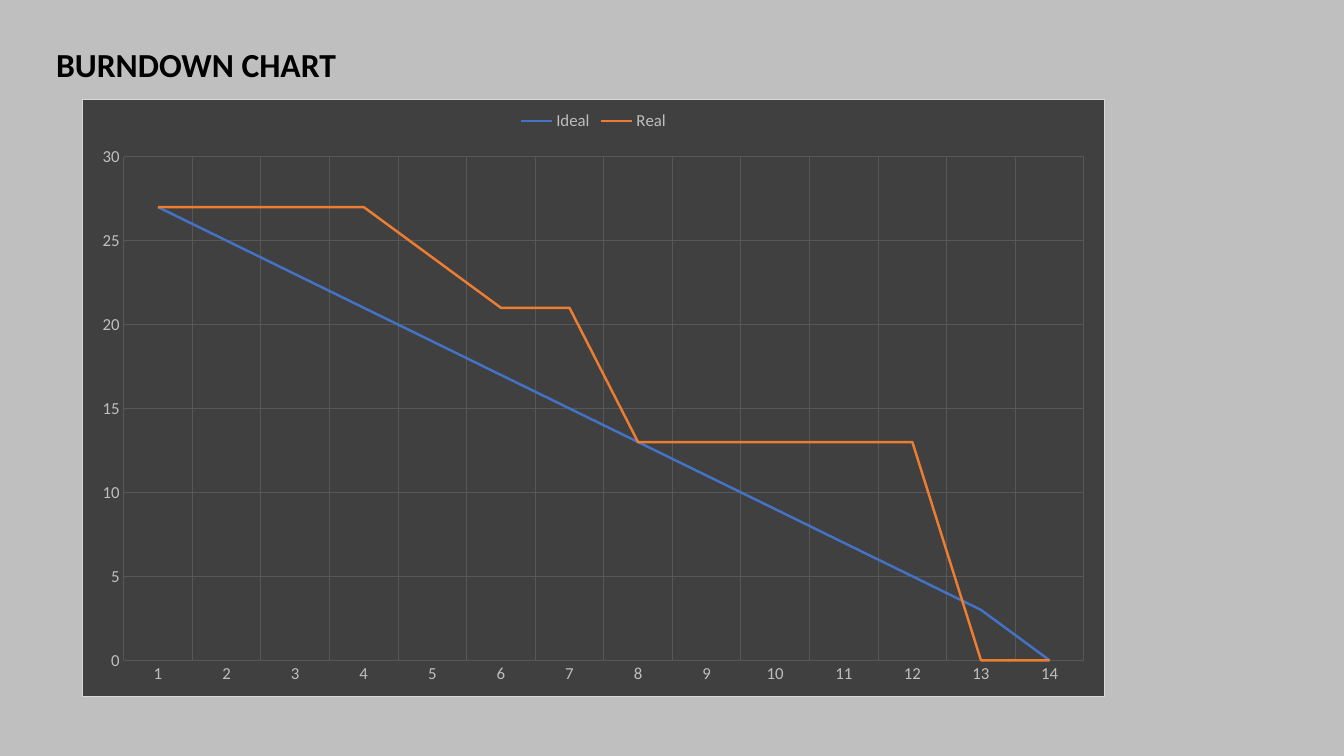
from lxml import etree
from pptx import Presentation
from pptx.chart.data import CategoryChartData
from pptx.dml.color import RGBColor
from pptx.enum.chart import XL_CHART_TYPE, XL_LEGEND_POSITION, XL_MARKER_STYLE, XL_TICK_MARK
from pptx.oxml import parse_xml
from pptx.oxml.ns import qn
from pptx.util import Pt

LINE_CHART = XL_CHART_TYPE.LINE
LEGEND_TOP = XL_LEGEND_POSITION.TOP
NO_MARKER = XL_MARKER_STYLE.NONE
NO_TICK = XL_TICK_MARK.NONE

FONT = "Calibri"
LABEL_COLOR = "BFBFBF"
GRID_COLOR = "575757"
DAYS = [str(day) for day in range(1, 15)]
SERIES = {
    "Ideal": ("4472C4", [*range(27, 2, -2), 0]),
    "Real": ("ED7D31", [27] * 4 + [24, 21, 21] + [13] * 5 + [0, 0]),
}


def color(value):
    return RGBColor.from_string(value)


def style_font(font, size, value, bold=False):
    font.name = FONT
    font.size = Pt(size)
    font.bold = bold
    font.color.rgb = color(value)


def style_line(line, value, width):
    line.color.rgb = color(value)
    line.width = Pt(width)


def add_text(page, text, left, top, width, height, size, value, bold=False):
    box = page.shapes.add_textbox(Pt(left), Pt(top), Pt(width), Pt(height))
    box.text_frame.word_wrap = True
    span = box.text_frame.paragraphs[0].add_run()
    span.text = text
    style_font(span.font, size, value, bold)


def style_axis(axis):
    axis.major_tick_mark = NO_TICK
    axis.minor_tick_mark = NO_TICK
    axis.format.line.fill.background()
    axis.has_major_gridlines = True
    style_line(axis.major_gridlines.format.line, GRID_COLOR, 0.75)
    style_font(axis.tick_labels.font, 12, LABEL_COLOR)


def style_chart_area(chart, fill, border, width):
    space = chart.element
    area = parse_xml(
        '<c:spPr xmlns:c="http://schemas.openxmlformats.org/drawingml/2006/chart"'
        ' xmlns:a="http://schemas.openxmlformats.org/drawingml/2006/main">'
        f'<a:solidFill><a:srgbClr val="{fill}"/></a:solidFill>'
        f'<a:ln w="{Pt(width)}"><a:solidFill><a:srgbClr val="{border}"/></a:solidFill></a:ln>'
        "</c:spPr>"
    )
    space.find(qn("c:chart")).addnext(area)
    if space.find(qn("c:roundedCorners")) is None:
        corners = etree.Element(qn("c:roundedCorners"), val="0")
        space.find(qn("c:date1904")).addnext(corners)


def add_burndown(page, left, top, width, height):
    data = CategoryChartData()
    data.categories = DAYS
    for name, (_, values) in SERIES.items():
        data.add_series(name, values)
    frame = page.shapes.add_chart(LINE_CHART, Pt(left), Pt(top), Pt(width), Pt(height), data)
    chart = frame.chart
    chart.has_title = False
    style_font(chart.font, 10, "000000")
    style_chart_area(chart, "404040", "D9D9D9", 0.75)

    chart.has_legend = True
    chart.legend.position = LEGEND_TOP
    chart.legend.include_in_layout = False
    style_font(chart.legend.font, 12, LABEL_COLOR)

    style_axis(chart.category_axis)
    style_axis(chart.value_axis)
    chart.value_axis.minimum_scale = 0
    chart.value_axis.maximum_scale = 30
    chart.value_axis.major_unit = 5

    plot = chart.plots[0]
    plot.vary_by_categories = False
    for series in plot.series:
        series.smooth = False
        series.marker.style = NO_MARKER
        style_line(series.format.line, SERIES[series.name][0], 1.75)


def main():
    deck = Presentation()
    deck.slide_width = Pt(960)
    deck.slide_height = Pt(540)
    page = deck.slides.add_slide(deck.slide_layouts[6])
    page.background.fill.solid()
    page.background.fill.fore_color.rgb = color("BFBFBF")
    add_text(page, "BURNDOWN CHART", 33, 27.5, 394, 36, size=24, value="000000", bold=True)
    add_burndown(page, 58.4, 70.8, 730.8, 426.8)
    deck.save("out.pptx")


if __name__ == "__main__":
    main()
